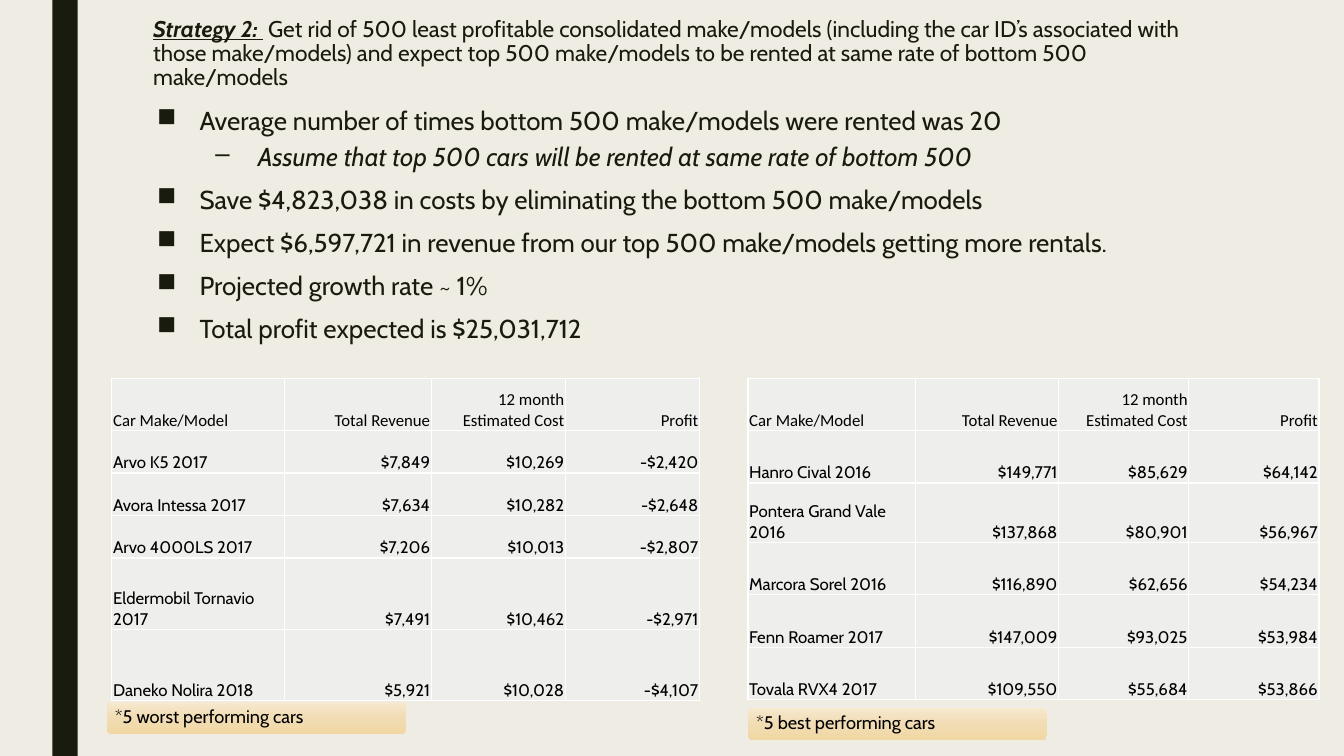
"""Build the Strategy 2 slide: bullets above tables of the worst and best cars."""
from copy import deepcopy

from lxml import etree
from pptx import Presentation
from pptx.dml.color import RGBColor
from pptx.enum import shapes, text
from pptx.oxml import ns
from pptx.util import Cm, Pt

INK = RGBColor(0x19, 0x1B, 0x0E)
BLACK = RGBColor(0, 0, 0)
WHITE = RGBColor(0xFF, 0xFF, 0xFF)
PAPER = RGBColor(0xEF, 0xED, 0xE3)
CELL = RGBColor(0xEE, 0xEE, 0xED)
SAND = [RGBColor(0xF7, 0xE9, 0xD0), RGBColor(0xF1, 0xDC, 0xB4), RGBColor(0xF1, 0xD7, 0xA3)]

TITLE_LEAD = "Strategy 2: "
TITLE = (" Get rid of 500 least profitable consolidated make/models (including the car "
         "ID\u2019s associated with those make/models) and expect top 500 make/models to be "
         "rented at same rate of bottom 500 make/models")
BULLETS = [
    (0, "Average number of times bottom 500 make/models were rented was 20"),
    (1, "Assume that top 500 cars will be rented at same rate of bottom 500"),
    (0, "Save $4,823,038 in costs by eliminating the bottom 500 make/models"),
    (0, "Expect $6,597,721 in revenue from our top 500 make/models getting more rentals."),
    (0, "Projected growth rate ~ 1%"),
    (0, "Total profit expected is $25,031,712"),
]
BULLET_STYLES = [
    dict(mark="\u25a0", indent=1.07, before=10, italic=False),
    dict(mark="\u2013", indent=2.54, before=5, italic=True),
]
HANGING = 1.07
HEADER = ("Car Make/Model", "Total Revenue", "12 month Estimated Cost", "Profit")
TABLE_TOP = 9.53
TABLES = [
    dict(left=2.82, columns=[4.34, 3.71, 3.38, 3.38], heights=[1.32, 1.07, 1.07, 1.07, 1.8, 1.8],
         caption="*5 worst performing cars", caption_at=(2.69, 17.68),
         cars=[("Arvo K5 2017", "$7,849", "$10,269", "-$2,420"),
               ("Avora Intessa 2017", "$7,634", "$10,282", "-$2,648"),
               ("Arvo 4000LS 2017", "$7,206", "$10,013", "-$2,807"),
               ("Eldermobil Tornavio 2017", "$7,491", "$10,462", "-$2,971"),
               ("Daneko Nolira 2018", "$5,921", "$10,028", "-$4,107")]),
    dict(left=18.85, columns=[4.22, 3.61, 3.28, 3.28], heights=[1.32, 1.32, 1.5, 1.32, 1.32, 1.32],
         caption="*5 best performing cars", caption_at=(18.85, 17.83),
         cars=[("Hanro Cival 2016", "$149,771", "$85,629", "$64,142"),
               ("Pontera Grand Vale 2016", "$137,868", "$80,901", "$56,967"),
               ("Marcora Sorel 2016", "$116,890", "$62,656", "$54,234"),
               ("Fenn Roamer 2017", "$147,009", "$93,025", "$53,984"),
               ("Tovala RVX4 2017", "$109,550", "$55,684", "$53,866")]),
]


def write(para, words, size=12, face="Cabin", color=BLACK, bold=False, italic=False,
          underline=False, align=text.PP_ALIGN.LEFT, spacing=None):
    """Add a formatted span to a paragraph."""
    span = para.add_run()
    span.text = words
    font = span.font
    font.size, font.name, font.color.rgb = Pt(size), face, color
    font.bold, font.italic, font.underline = bold, italic, underline
    para.alignment = align
    para.line_spacing = spacing


def add_text_box(page, *frame):
    """Add a wrapping text box and return its text frame."""
    box = page.shapes.add_textbox(*map(Cm, frame)).text_frame
    box.word_wrap = True
    return box


def add_panel(page, kind, *frame):
    """Add a preset shape with neither line nor shadow."""
    panel = page.shapes.add_shape(kind, *map(Cm, frame))
    panel.shadow.inherit = False
    panel.line.fill.background()
    return panel


def add_bullet(para, mark, indent, before):
    """Give a paragraph its hanging bullet and spacing."""
    para.space_before, para.space_after = Pt(before), Pt(2)
    props = para._p.get_or_add_pPr()
    props.set("marL", str(Cm(indent)))
    props.set("indent", str(-Cm(HANGING)))
    etree.SubElement(props, ns.qn("a:buChar"), char=mark)


def add_borders(cell):
    """Draw white lines on all four sides of a cell."""
    props = cell._tc.get_or_add_tcPr()
    for side in ("lnL", "lnR", "lnT", "lnB"):
        line = etree.SubElement(props, ns.qn("a:" + side), w=str(Pt(1)))
        fill = etree.SubElement(line, ns.qn("a:solidFill"))
        etree.SubElement(fill, ns.qn("a:srgbClr"), val=str(WHITE))


def add_car_table(page, left, columns, heights, cars):
    """Add a table of cars below the shared header."""
    rows = [HEADER] + cars
    frame = page.shapes.add_table(len(rows), len(columns), Cm(left), Cm(TABLE_TOP),
                                  Cm(sum(columns)), Cm(sum(heights)))
    table = frame.table
    for column, width in zip(table.columns, columns):
        column.width = Cm(width)
    for r, (row, height) in enumerate(zip(rows, heights)):
        table.rows[r].height = Cm(height)
        for c, words in enumerate(row):
            cell = table.cell(r, c)
            add_borders(cell)
            cell.fill.solid()
            cell.fill.fore_color.rgb = CELL
            cell.vertical_anchor = text.MSO_ANCHOR.BOTTOM
            cell.margin_left = cell.margin_right = cell.margin_top = Cm(0.03)
            cell.margin_bottom = 0
            write(cell.text_frame.paragraphs[0], words, face="Cabin" if r else "Calibri",
                  align=text.PP_ALIGN.RIGHT if c else text.PP_ALIGN.LEFT)


def add_caption(page, words, left, top):
    """Add a rounded gradient label."""
    panel = add_panel(page, shapes.MSO_SHAPE.ROUNDED_RECTANGLE, left, top, 7.54, 0.81)
    panel.fill.gradient()
    panel.fill.gradient_angle = 270
    first = panel.fill._fill._gradFill.gsLst[0]
    first.addnext(deepcopy(first))
    for i, (stop, color) in enumerate(zip(panel.fill.gradient_stops, SAND)):
        stop.color.rgb, stop.position = color, i / 2
    frame = panel.text_frame
    frame.margin_left = Cm(0.17)
    frame.margin_top = frame.margin_bottom = Cm(0.13)
    frame.vertical_anchor = text.MSO_ANCHOR.MIDDLE
    write(frame.paragraphs[0], words, size=13, spacing=0.9)


deck = Presentation()
deck.slide_width, deck.slide_height = Cm(33.87), Cm(19.05)
page = deck.slides.add_slide(deck.slide_layouts[6])
page.background.fill.solid()
page.background.fill.fore_color.rgb = PAPER

bar = add_panel(page, shapes.MSO_SHAPE.RECTANGLE, 1.32, 0, 0.64, 19.05)
bar.fill.solid()
bar.fill.fore_color.rgb = INK

heading = add_text_box(page, 3.61, 0.33, 26.87, 2.18).paragraphs[0]
write(heading, TITLE_LEAD, size=16.2, color=INK, bold=True, italic=True, underline=True)
write(heading, TITLE, size=16.2, color=INK, spacing=0.89)

body = add_text_box(page, 3.71, 2.64, 26.67, 6.73)
for i, (level, words) in enumerate(BULLETS):
    style = BULLET_STYLES[level]
    para = body.add_paragraph() if i else body.paragraphs[0]
    para.level = level
    write(para, words, size=18.5, color=INK, italic=style["italic"], spacing=0.84)
    add_bullet(para, style["mark"], style["indent"], style["before"])

for group in TABLES:
    add_car_table(page, group["left"], group["columns"], group["heights"], group["cars"])
    add_caption(page, group["caption"], *group["caption_at"])

deck.save("out.pptx")
